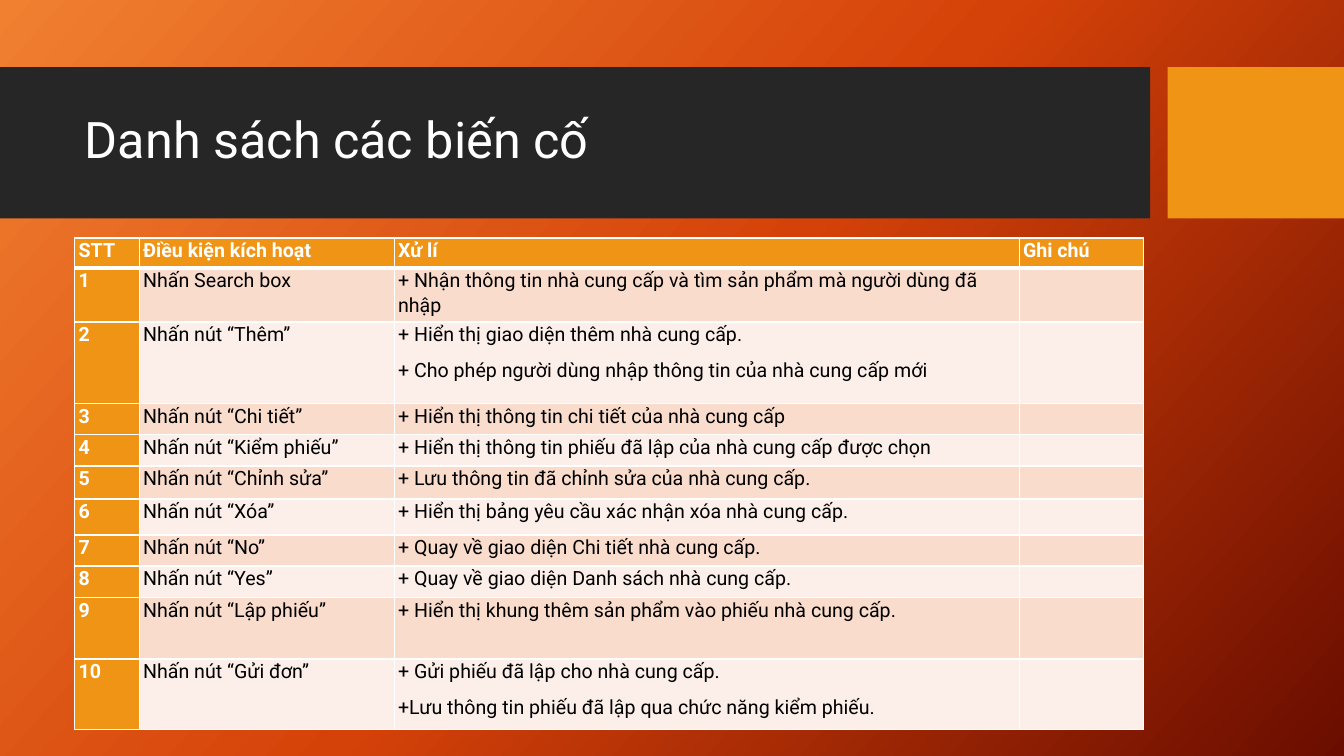
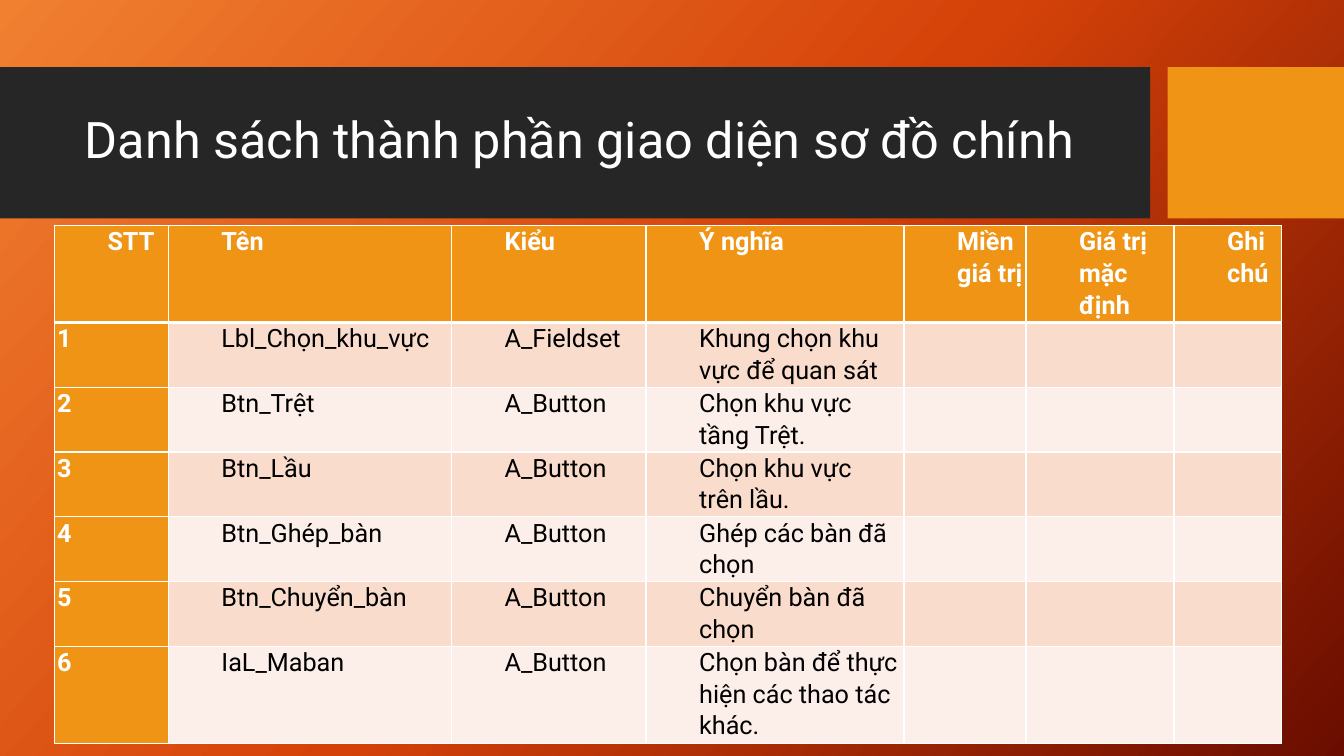
from lxml import etree
from pptx import Presentation
from pptx.dml.color import RGBColor
from pptx.enum.shapes import MSO_SHAPE
from pptx.enum.text import MSO_ANCHOR
from pptx.oxml import parse_xml
from pptx.oxml.ns import nsdecls, qn
from pptx.util import Pt

RECTANGLE = MSO_SHAPE.RECTANGLE
MIDDLE = MSO_ANCHOR.MIDDLE

FONT = "Roboto"
COLORS = {
    "band": "262626",
    "accent": "F09415",
    "odd_row": "F9DCCC",
    "even_row": "FCEEE8",
    "light": "FFFFFF",
    "dark": "000000",
}
# Background gradient: position in percent, colour
GRADIENT = {0: "F18031", 50: "D54209", 100: "6A0D00"}
GRADIENT_ANGLE = 42

EVENTS = [
    ["STT", "Điều kiện kích hoạt", "Xử lí", "Ghi chú"],
    ["1", "Nhấn Search box",
     "+ Nhận thông tin nhà cung cấp và tìm sản phẩm mà người dùng đã nhập", ""],
    ["2", "Nhấn nút “Thêm”",
     "+ Hiển thị giao diện thêm nhà cung cấp.\n"
     "+ Cho phép người dùng nhập thông tin của nhà cung cấp mới", ""],
    ["3", "Nhấn nút “Chi tiết”", "+ Hiển thị thông tin chi tiết của nhà cung cấp", ""],
    ["4", "Nhấn nút “Kiểm phiếu”",
     "+ Hiển thị thông tin phiếu đã lập của nhà cung cấp được chọn", ""],
    ["5", "Nhấn nút “Chỉnh sửa”", "+ Lưu thông tin đã chỉnh sửa của nhà cung cấp.", ""],
    ["6", "Nhấn nút “Xóa”", "+ Hiển thị bảng yêu cầu xác nhận xóa nhà cung cấp.", ""],
    ["7", "Nhấn nút “No”", "+ Quay về giao diện Chi tiết nhà cung cấp.", ""],
    ["8", "Nhấn nút “Yes”", "+ Quay về giao diện Danh sách nhà cung cấp.", ""],
    ["9", "Nhấn nút “Lập phiếu”",
     "+ Hiển thị khung thêm sản phẩm vào phiếu nhà cung cấp.", ""],
    ["10", "Nhấn nút “Gửi đơn”",
     "+ Gửi phiếu đã lập cho nhà cung cấp.\n"
     "+Lưu thông tin phiếu đã lập qua chức năng kiểm phiếu.", ""],
]
EVENT_WIDTHS = [46, 182.2, 446.4, 88.6]
EVENT_HEIGHTS = [21.4, 38.6, 58.5, 22.2, 22.2, 23.6, 25.7, 22.2, 22.8, 43.6, 50.2]

COMPONENTS = [
    ["STT", "Tên", "Kiểu", "Ý nghĩa", "Miền giá trị", "Giá trị mặc định", "Ghi chú"],
    ["1", "Lbl_Chọn_khu_vực", "A_Fieldset", "Khung chọn khu vực để quan sát", "", "", ""],
    ["2", "Btn_Trệt", "A_Button", "Chọn khu vực tầng Trệt.", "", "", ""],
    ["3", "Btn_Lầu", "A_Button", "Chọn khu vực trên lầu.", "", "", ""],
    ["4", "Btn_Ghép_bàn", "A_Button", "Ghép các bàn đã chọn", "", "", ""],
    ["5", "Btn_Chuyển_bàn", "A_Button", "Chuyển bàn đã chọn", "", "", ""],
    ["6", "IaL_Maban", "A_Button", "Chọn bàn để thực hiện các thao tác khác.", "", "", ""],
]
COMPONENT_WIDTHS = [81.4, 202.3, 139, 184.3, 87.1, 105.8, 77]
COMPONENT_HEIGHTS = [68] + [45.2] * 5 + [68]


def color(name):
    return RGBColor.from_string(COLORS[name])


def set_background(master):
    """Give every slide the same diagonal gradient."""
    master.background.fill.solid()
    solid = master.element.find(".//" + qn("p:bgPr")).find(qn("a:solidFill"))
    stops = "".join(
        f'<a:gs pos="{position * 1000}"><a:srgbClr val="{value}"/></a:gs>'
        for position, value in GRADIENT.items()
    )
    gradient = parse_xml(
        f'<a:gradFill {nsdecls("a")} rotWithShape="1"><a:gsLst>{stops}</a:gsLst>'
        f'<a:lin ang="{GRADIENT_ANGLE * 60000}" scaled="0"/></a:gradFill>'
    )
    solid.getparent().replace(solid, gradient)


def format_runs(paragraph, size, color_name, bold=False):
    for run in paragraph.runs:
        run.font.name = FONT
        run.font.size = Pt(size)
        run.font.bold = bold
        run.font.color.rgb = color(color_name)


def add_band(slide, left, width, color_name):
    shape = slide.shapes.add_shape(RECTANGLE, Pt(left), Pt(48), Pt(width), Pt(108))
    shape.shadow.inherit = False
    shape.fill.solid()
    shape.fill.fore_color.rgb = color(color_name)
    shape.line.fill.background()


def add_title(slide, text):
    box = slide.shapes.add_textbox(Pt(53.5), Pt(59), Pt(757), Pt(85))
    frame = box.text_frame
    frame.word_wrap = True
    frame.vertical_anchor = MIDDLE
    frame.text = text
    paragraph = frame.paragraphs[0]
    paragraph.line_spacing = 0.9
    format_runs(paragraph, 36, "light")


def add_titled_slide(presentation, title):
    slide = presentation.slides.add_slide(presentation.slide_layouts[6])
    add_band(slide, 0, 821.5, "band")
    add_band(slide, 834, 126, "accent")
    add_title(slide, title)
    return slide


def set_borders(cell, row):
    """White grid, with a thick rule between header and body."""
    properties = cell._tc.get_or_add_tcPr()
    widths = {"L": 1, "R": 1, "T": 3 if row == 1 else 1, "B": 3 if row == 0 else 1}
    for side, width in widths.items():
        line = etree.SubElement(properties, qn(f"a:ln{side}"), w=str(Pt(width)))
        fill = etree.SubElement(line, qn("a:solidFill"))
        etree.SubElement(fill, qn("a:srgbClr"), val=COLORS["light"])


def format_cell(cell, row, column, text, size, margin, indent):
    is_heading = row == 0 or column == 0
    set_borders(cell, row)
    cell.fill.solid()
    body_fill = "odd_row" if row % 2 else "even_row"
    cell.fill.fore_color.rgb = color("accent" if is_heading else body_fill)
    cell.margin_left = cell.margin_right = Pt(margin)
    cell.margin_top = cell.margin_bottom = Pt(0)
    cell.text_frame.text = text
    for paragraph in cell.text_frame.paragraphs:
        paragraph.line_spacing = 1.07
        paragraph.space_after = Pt(8)
        if indent and (row == 0 or column > 0):
            paragraph._p.get_or_add_pPr().set("marL", str(Pt(indent)))
        format_runs(paragraph, size, "light" if is_heading else "dark", is_heading)
        if not text:
            # Keeps an empty cell from stretching its row
            etree.SubElement(paragraph._p, qn("a:endParaRPr"), sz=str(size * 100))


def add_grid(slide, left, top, widths, heights, rows, size, margin, indent=0):
    table = slide.shapes.add_table(
        len(rows), len(widths), Pt(left), Pt(top), Pt(sum(widths)), Pt(sum(heights))
    ).table
    table.horz_banding = False
    for column, width in zip(table.columns, widths):
        column.width = Pt(width)
    for row, height in zip(table.rows, heights):
        row.height = Pt(height)
    for row, texts in enumerate(rows):
        for column, text in enumerate(texts):
            format_cell(table.cell(row, column), row, column, text, size, margin, indent)


def main():
    presentation = Presentation()
    presentation.slide_width = Pt(960)
    presentation.slide_height = Pt(540)
    set_background(presentation.slide_master)

    # Events
    slide = add_titled_slide(presentation, "Danh sách các biến cố")
    add_grid(slide, 53.5, 170, EVENT_WIDTHS, EVENT_HEIGHTS, EVENTS, size=14, margin=2.7)

    # Interface components
    slide = add_titled_slide(presentation, "Danh sách thành phần giao diện sơ đồ chính")
    add_grid(slide, 38.8, 161, COMPONENT_WIDTHS, COMPONENT_HEIGHTS, COMPONENTS,
             size=18, margin=2, indent=36)

    presentation.save("out.pptx")


if __name__ == "__main__":
    main()
